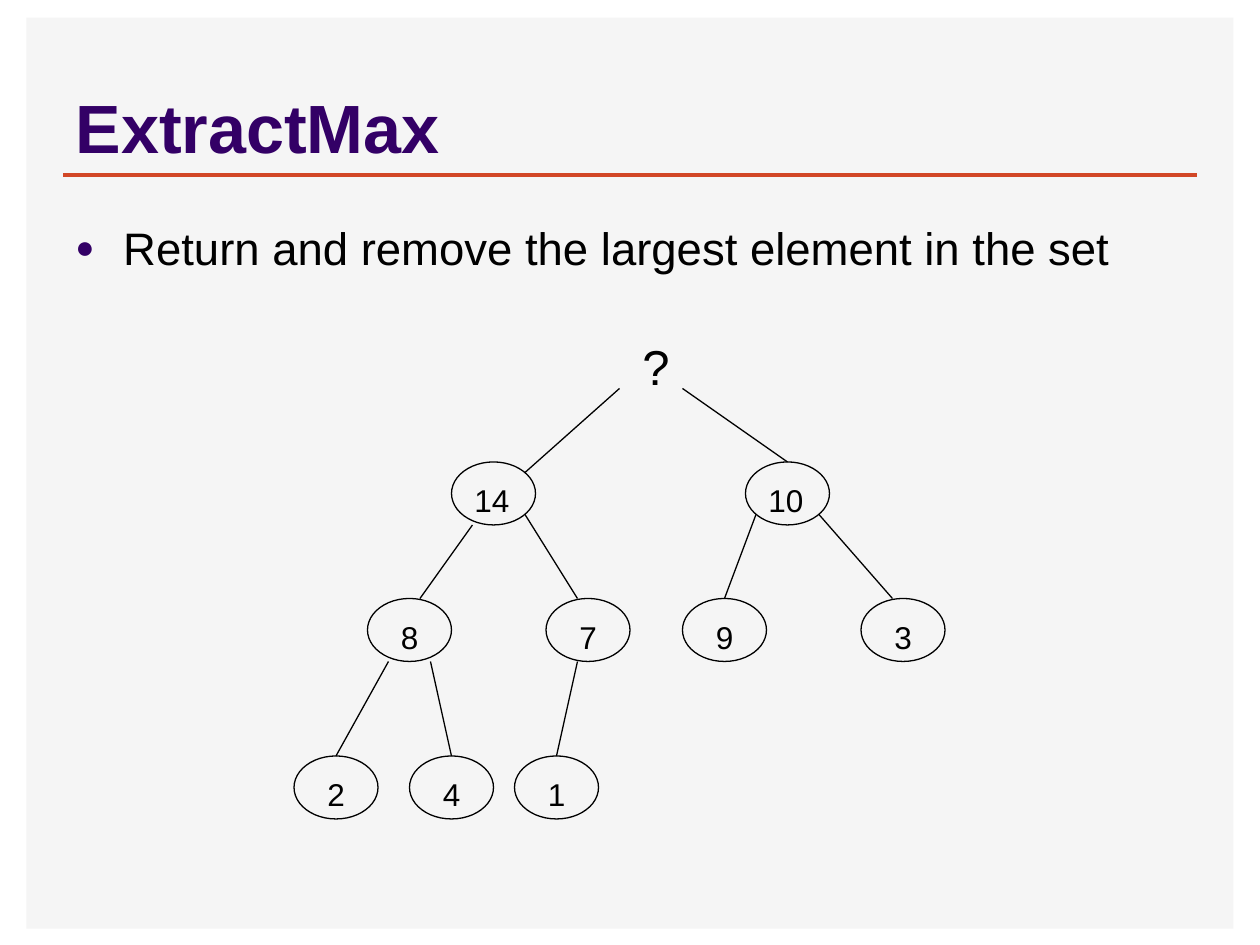
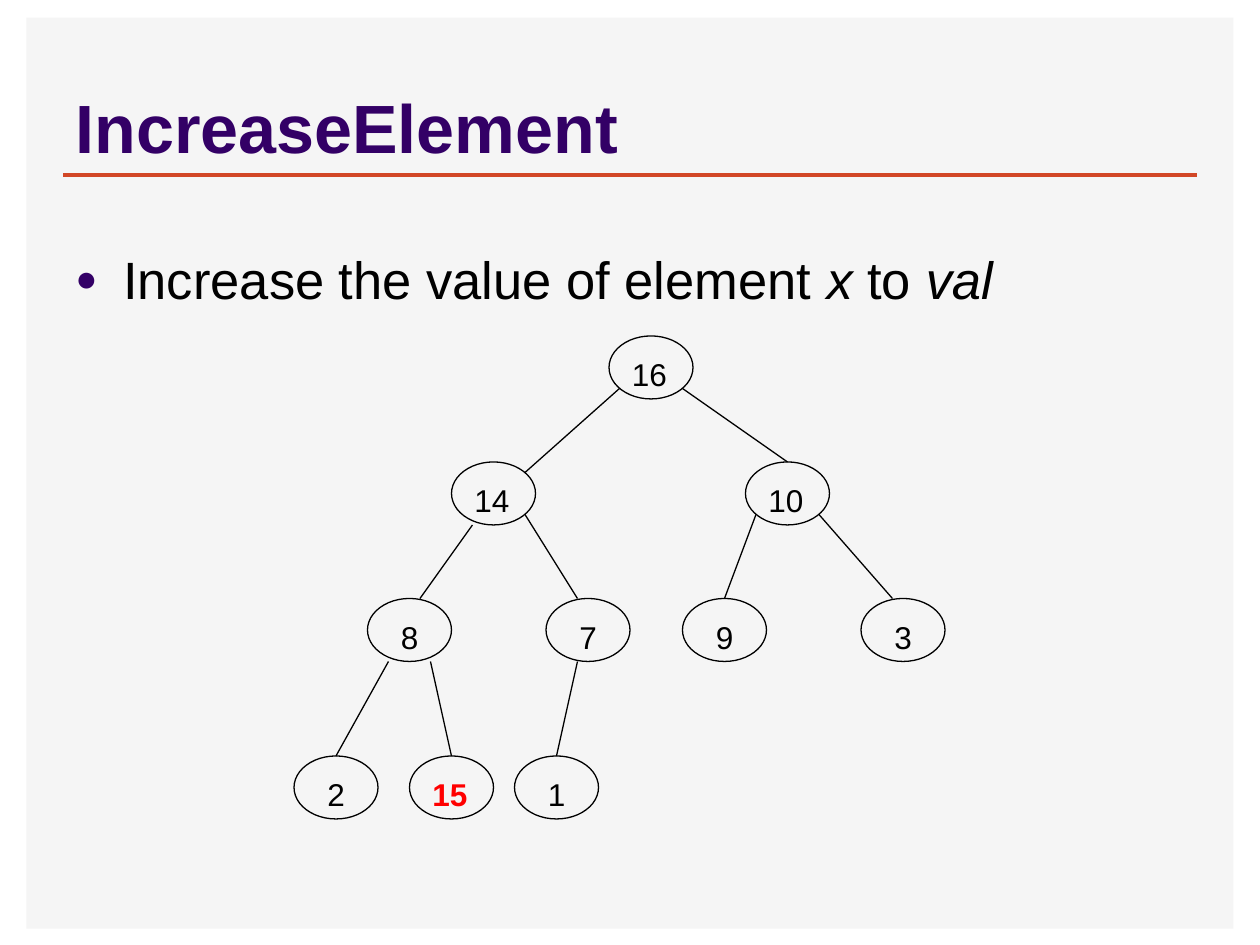
from lxml import etree
from pptx import Presentation
from pptx.dml.color import RGBColor
from pptx.enum.shapes import MSO_CONNECTOR, MSO_SHAPE
from pptx.enum.text import MSO_ANCHOR, MSO_AUTO_SIZE, PP_ALIGN
from pptx.oxml.ns import qn
from pptx.util import Inches, Pt

STRAIGHT = MSO_CONNECTOR.STRAIGHT
RECTANGLE, OVAL = MSO_SHAPE.RECTANGLE, MSO_SHAPE.OVAL
LEFT = PP_ALIGN.LEFT
BOTTOM = MSO_ANCHOR.BOTTOM
NO_AUTO_SIZE = MSO_AUTO_SIZE.NONE

PURPLE = RGBColor(0x33, 0x00, 0x66)
ORANGE = RGBColor(0xD2, 0x47, 0x26)
PALE_GRAY = RGBColor(0xF5, 0xF5, 0xF5)
BLACK = RGBColor(0x00, 0x00, 0x00)
RED = RGBColor(0xFF, 0x00, 0x00)
FONT = "Arial"

TITLE_ONLY = 5
CONTENT_LEFT, CONTENT_WIDTH = 0.5, 9

# The tree sits on a grid of twelfths of an inch, measured from its top left.
GRID = 1 / 12
TREE_LEFT, TREE_TOP = 28 * GRID, 32 * GRID
NODE_WIDTH, NODE_HEIGHT = 8, 6
# Level by level, left to right, as in a heap array.
NODE_CORNERS = [
    (30, 0),
    (15, 12), (43, 12),
    (7, 25), (24, 25), (37, 25), (54, 25),
    (0, 40), (11, 40), (21, 40),
]
EDGES = [
    ((31, 5), (22, 13)), ((37, 5), (47, 12)),
    ((17, 18), (12, 25)), ((22, 17), (27, 25)),
    ((44, 17), (41, 25)), ((50, 17), (57, 25)),
    ((9, 31), (4, 40)), ((13, 31), (15, 40)), ((27, 31), (25, 40)),
]


def set_font(para, size, color, bold=False):
    para.font.name = FONT
    para.font.size = Pt(size)
    para.font.color.rgb = color
    para.font.bold = bold


def add_line(page, start, end, color, width):
    line = page.shapes.add_connector(STRAIGHT, *map(Inches, start + end))
    line.line.color.rgb = color
    line.line.width = Pt(width)
    etree.SubElement(line.element.spPr, qn("a:effectLst"))
    return line


def add_text_box(page, left, top, width, height, margin_top):
    """Add an empty text box and return its first paragraph."""
    box = page.shapes.add_textbox(*map(Inches, (left, top, width, height)))
    box.text_frame.word_wrap = True
    box.text_frame.margin_top = Inches(margin_top)
    return box.text_frame.paragraphs[0]


def add_titled_page(deck, title_text):
    """Add a page with the gray panel, the title and the rule below it."""
    page = deck.slides.add_slide(deck.slide_layouts[TITLE_ONLY])
    panel = page.shapes.add_shape(
        RECTANGLE, *map(Inches, (0.21, 0.14, 9.58, 7.23)))
    panel.shadow.inherit = False
    panel.fill.solid()
    panel.fill.fore_color.rgb = PALE_GRAY
    panel.line.fill.background()
    rule = add_line(page, (CONTENT_LEFT, 1.39),
                    (CONTENT_LEFT + CONTENT_WIDTH, 1.39), ORANGE, 2)

    title = page.shapes.title
    for backdrop in (panel, rule):
        title.element.addprevious(backdrop.element)
    title.left, title.top = Inches(CONTENT_LEFT), Inches(0.13)
    title.width, title.height = Inches(CONTENT_WIDTH), Inches(1.25)
    frame = title.text_frame
    frame.text = title_text
    frame.word_wrap = True
    frame.auto_size = NO_AUTO_SIZE
    frame.vertical_anchor = BOTTOM
    para = frame.paragraphs[0]
    para.alignment = LEFT
    set_font(para, 39, PURPLE, bold=True)
    return page


def add_bullet(page, top, height, size, spans):
    """Add one bulleted line; spans are (text, italic) pairs."""
    para = add_text_box(page, CONTENT_LEFT, top, CONTENT_WIDTH, height, 0.08)
    props = para._p.get_or_add_pPr()
    props.set("marL", str(Inches(0.38)))
    props.set("indent", str(-Inches(0.38)))
    color = etree.SubElement(props, qn("a:buClr"))
    etree.SubElement(color, qn("a:srgbClr"), val=str(PURPLE))
    etree.SubElement(props, qn("a:buSzPct"), val="70000")
    etree.SubElement(props, qn("a:buFont"), typeface=FONT)
    etree.SubElement(props, qn("a:buChar"), char="●")
    set_font(para, size, BLACK)
    for text, italic in spans:
        span = para.add_run()
        span.text = text
        if italic:
            span.font.italic = True


def add_node(page, left, top, value, highlighted):
    oval = page.shapes.add_shape(
        OVAL, Inches(left), Inches(top),
        Inches(NODE_WIDTH * GRID), Inches(NODE_HEIGHT * GRID))
    oval.shadow.inherit = False
    oval.fill.background()
    oval.line.color.rgb = BLACK
    oval.line.width = Pt(0.75)

    indent = GRID if len(value) > 1 else 2 * GRID
    para = add_text_box(page, left + indent, top + GRID, 0.58, 0.4, 0.07)
    para.text = value
    set_font(para, 18, RED if highlighted else BLACK, bold=highlighted)


def add_missing_root(page, left, top):
    para = add_text_box(page, left + 2 * GRID, top - GRID, 0.75, 0.57, 0.09)
    para.text = "?"
    set_font(para, 28, BLACK)


def add_heap(page, left, top, values, highlighted=None):
    """Draw the heap; a value of None leaves its place open."""
    def place(point):
        return left + point[0] * GRID, top + point[1] * GRID

    for start, end in EDGES:
        add_line(page, place(start), place(end), BLACK, 0.75)
    for corner, value in zip(NODE_CORNERS, values):
        if value is None:
            add_missing_root(page, *place(corner))
        else:
            add_node(page, *place(corner), str(value), value == highlighted)


def main():
    deck = Presentation()
    deck.slide_width, deck.slide_height = Inches(10), Inches(7.5)

    page = add_titled_page(deck, "ExtractMax")
    add_bullet(page, 1.67, 0.67, 26,
               [("Return and remove the largest element in the set", False)])
    add_heap(page, TREE_LEFT, TREE_TOP, [None, 14, 10, 8, 7, 9, 3, 2, 4, 1])

    page = add_titled_page(deck, "IncreaseElement")
    add_bullet(page, 1.88, 0.62, 30,
               [("Increase the value of element ", False), ("x", True),
                (" to ", False), ("val", True)])
    add_heap(page, TREE_LEFT, TREE_TOP, [16, 14, 10, 8, 7, 9, 3, 2, 15, 1],
             highlighted=15)

    deck.save("out.pptx")


if __name__ == "__main__":
    main()
